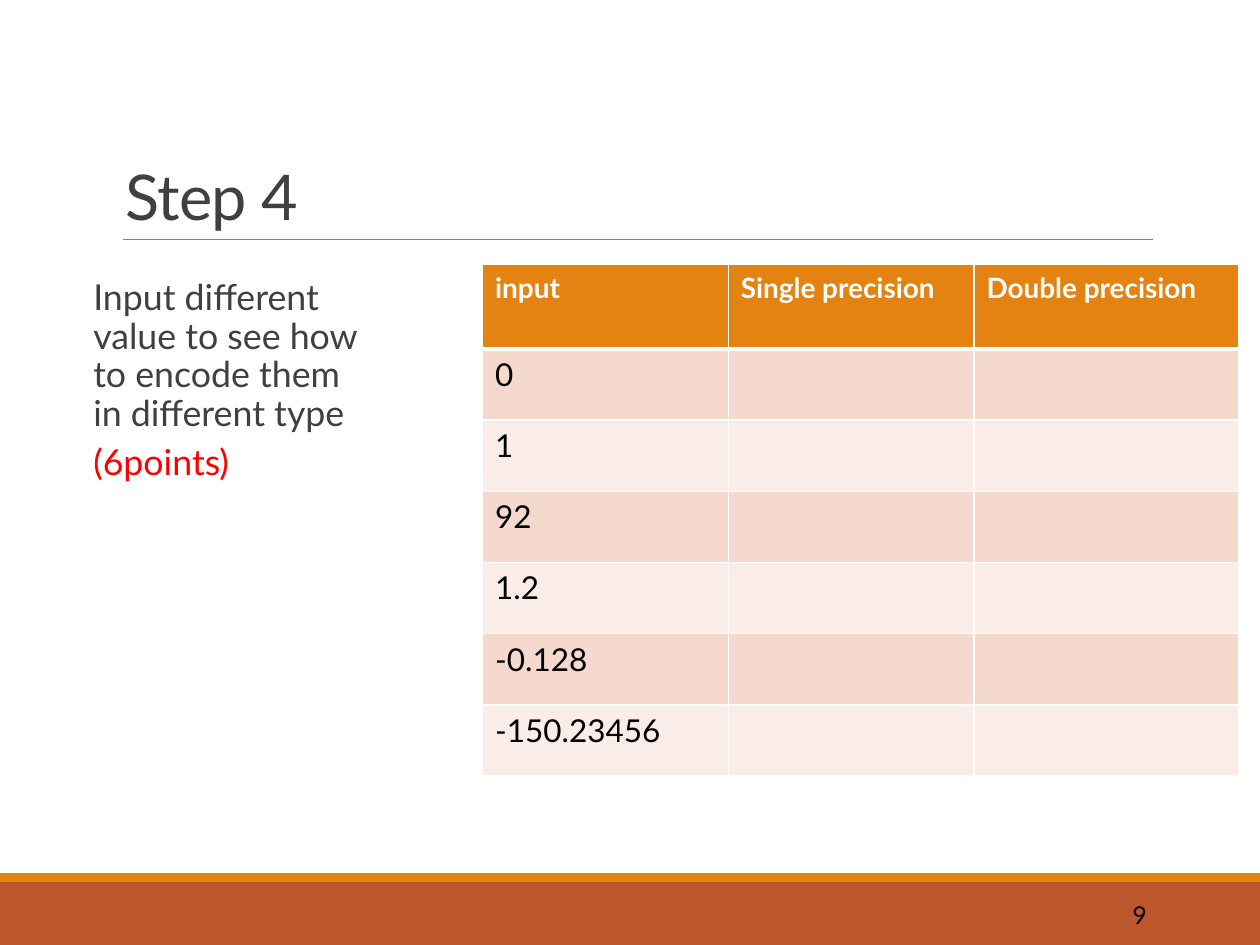
from dataclasses import dataclass
from lxml import etree
from pptx import Presentation
from pptx import util as u
from pptx.dml.color import RGBColor
from pptx.enum import shapes, text
from pptx.oxml import ns


@dataclass(frozen=True)
class Theme:
    font: str = "Lato"
    white: str = "FFFFFF"
    black: str = "000000"
    ink: str = "404040"
    alert: str = "FF0000"
    rule: str = "808080"
    orange: str = "E48312"
    rust: str = "BD582C"
    bands: tuple = ("F5D9CC", "FAEDE7")
    title_size: float = 36
    body_size: float = 20.4
    cell_size: float = 18
    head_size: float = 16
    number_size: float = 14


class SlideBuilder:
    def __init__(self, page, theme):
        self.page = page
        self.theme = theme

    def paint(self, target, color):
        target.fill.solid()
        target.fill.fore_color.rgb = RGBColor.from_string(color)

    def band(self, left, top, width, height, color):
        shape = self.page.shapes.add_shape(
            shapes.MSO_SHAPE.RECTANGLE, *map(u.Inches, (left, top, width, height)))
        shape.shadow.inherit = False
        self.paint(shape, color)
        shape.line.fill.background()

    def rule(self, left, right, y, color, weight):
        line = self.page.shapes.add_connector(
            shapes.MSO_CONNECTOR.STRAIGHT, *map(u.Inches, (left, y, right, y)))
        line.line.color.rgb = RGBColor.from_string(color)
        line.line.width = u.Pt(weight)
        etree.SubElement(line._element.spPr, ns.qn("a:effectLst"))

    def box(self, left, top, width, height, anchor, side_inset=0.1):
        frame = self.page.shapes.add_textbox(
            *map(u.Inches, (left, top, width, height))).text_frame
        frame.word_wrap = True
        frame.vertical_anchor = anchor
        frame.margin_left = frame.margin_right = u.Inches(side_inset)
        return frame

    def span(self, para, words, size, color, bold=False):
        span = para.add_run()
        span.text = words
        span.font.name = self.theme.font
        span.font.size = u.Pt(size)
        span.font.bold = bold
        span.font.color.rgb = RGBColor.from_string(color)
        return span

    def title(self, words):
        frame = self.box(0.9, 0.31, 8.25, 1.59, text.MSO_ANCHOR.BOTTOM)
        para = frame.paragraphs[0]
        para.line_spacing = 0.85
        span = self.span(para, words, self.theme.title_size, self.theme.ink)
        span.font._element.set("spc", "-50")

    def body(self, entries):
        frame = self.box(0.42, 2.17, 2.42, 1.83, text.MSO_ANCHOR.TOP, 0)
        for index, (words, color) in enumerate(entries):
            para = frame.add_paragraph() if index else frame.paragraphs[0]
            para.level = 1
            para.line_spacing = 0.9
            para.space_before = u.Pt(2)
            para.space_after = u.Pt(4)
            props = para._p.get_or_add_pPr()
            props.set("marL", str(u.Inches(0.32)))
            props.set("indent", "0")
            self.span(para, words, self.theme.body_size, color)

    def page_number(self, number):
        frame = self.box(8.12, 7.06, 1.08, 0.4, text.MSO_ANCHOR.MIDDLE)
        para = frame.paragraphs[0]
        para.alignment = text.PP_ALIGN.RIGHT
        self.span(para, number, self.theme.number_size, self.theme.black)

    def borders(self, cell, weights):
        props = cell._tc.get_or_add_tcPr()
        for side, weight in weights.items():
            line = etree.SubElement(props, ns.qn("a:ln" + side), w=str(u.Pt(weight)))
            fill = etree.SubElement(line, ns.qn("a:solidFill"))
            etree.SubElement(fill, ns.qn("a:srgbClr"), val=self.theme.white)

    def table(self, left, top, widths, heights, rows):
        theme = self.theme
        table = self.page.shapes.add_table(
            len(rows), len(widths),
            *map(u.Inches, (left, top, sum(widths), sum(heights)))).table
        for column, width in zip(table.columns, widths):
            column.width = u.Inches(width)
        for r, (row, height) in enumerate(zip(rows, heights)):
            table.rows[r].height = u.Inches(height)
            head = r == 0
            size = theme.head_size if head else theme.cell_size
            ink = theme.white if head else theme.black
            fill = theme.orange if head else theme.bands[(r - 1) % 2]
            for c in range(len(widths)):
                cell = table.cell(r, c)
                self.borders(cell, {"L": 1, "R": 1, "T": 3 if r == 1 else 1,
                                    "B": 3 if head else 1})
                self.paint(cell, fill)
                para = cell.text_frame.paragraphs[0]
                para.font.size = u.Pt(size)
                if c < len(row):
                    self.span(para, row[c], size, ink, head)


theme = Theme()
deck = Presentation()
deck.slide_width, deck.slide_height = u.Inches(10), u.Inches(7.5)
builder = SlideBuilder(deck.slides.add_slide(deck.slide_layouts[6]), theme)

builder.band(0, 7, 10, 0.5, theme.rust)
builder.band(0, 6.93, 10, 0.07, theme.orange)
builder.rule(0.98, 9.15, 1.9, theme.rule, 0.5)
builder.title("Step 4")
builder.page_number("9")

inputs = ["0", "1", "92", "1.2", "-0.128", "-150.23456"]
builder.table(
    3.83, 2.1, [1.95, 1.95, 2.1], [0.67] + [0.565] * len(inputs),
    [["input", "Single precision", "Double precision"]] + [[value] for value in inputs])
builder.body([
    ("Input different value to see how to encode them in different type", theme.ink),
    ("(6points)", theme.alert),
])

deck.save("out.pptx")
